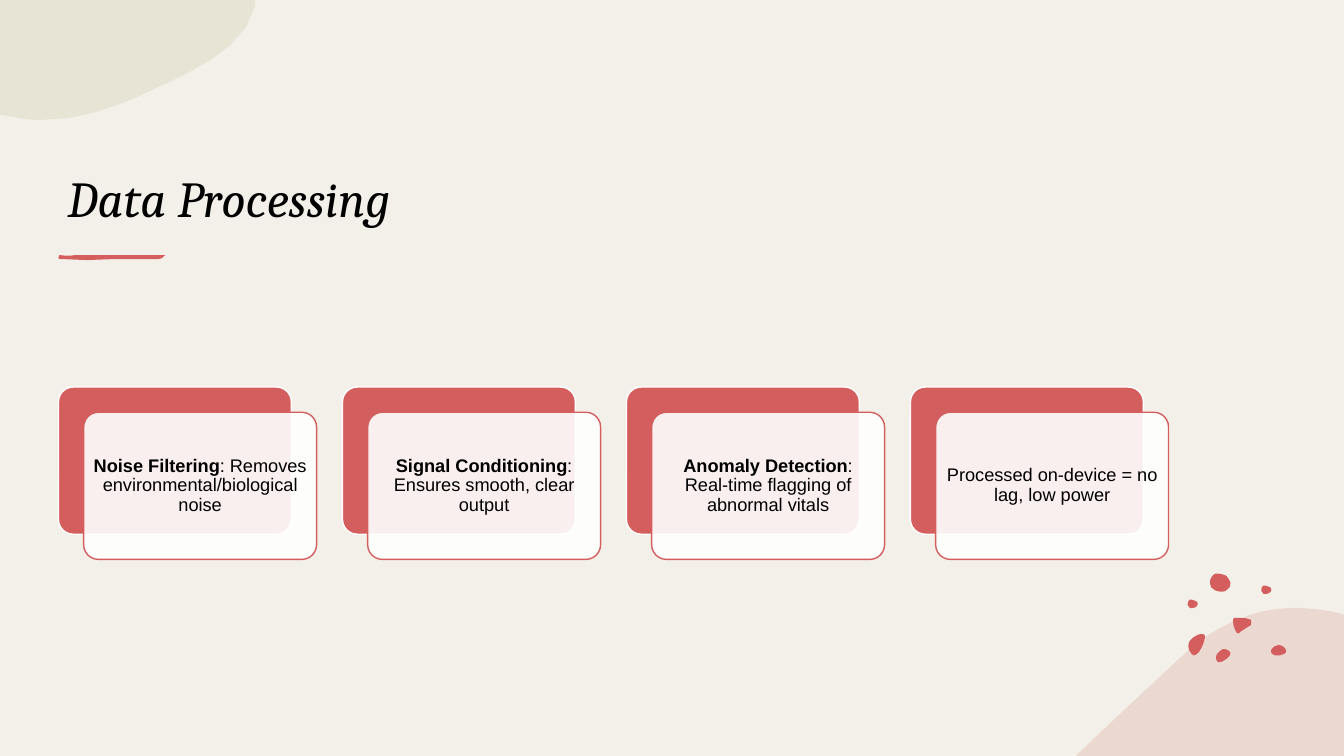
from dataclasses import dataclass
from typing import NamedTuple

import pptx
import pptx.dml.color
import pptx.enum.shapes
import pptx.enum.text
import pptx.oxml
import pptx.oxml.ns
import pptx.util
from pptx.util import Inches

Colour = pptx.dml.color.RGBColor.from_string


@dataclass(frozen=True)
class Theme:
    background: str = "F3F0E9"
    accent: str = "D45E5E"
    blush: str = "E5C4BA"
    sage: str = "DCD9C3"
    white: str = "FFFFFF"
    text: str = "000000"
    title_font: str = "Cambria"
    body_font: str = "Arial"
    title_size: int = 36
    body_size: int = 13


class Outline(NamedTuple):
    """Steps hold two numbers for a line, six for a cubic curve cut into pieces."""
    start: tuple[float, float]
    steps: list[tuple[float, ...]]
    colour: str
    opacity: int = 100
    pieces: int = 3
    shift: tuple[float, float] = (0, 0)


class Card(NamedTuple):
    heading: str
    detail: str


THEME = Theme()

# Background blobs
BLOBS = [
    Outline((12.88, 6.03), [
        (13.01, 6.04, 13.14, 6.05, 13.27, 6.08), (13.33, 6.1), (13.33, 7.5), (10.67, 7.5),
        (11.02, 7.16, 11.37, 6.84, 11.69, 6.54), (11.91, 6.32, 12.14, 6.19, 12.37, 6.11),
        (12.54, 6.05, 12.71, 6.03, 12.88, 6.03)], THEME.blush, 50, 5),
    Outline((0, 0), [
        (2.53, 0), (2.53, 0.06), (2.45, 0.44, 2, 0.67, 1.58, 0.86),
        (1.23, 1.03, 0.86, 1.19, 0.41, 1.19), (0.31, 1.19, 0.22, 1.18, 0.13, 1.16),
        (0, 1.14)], THEME.sage, 50, 5),
]

# Scattered pebbles, two of them alike
SMALL_PEBBLE = Outline((12.51, 5.86), [
    (12.51, 5.86, 12.51, 5.82, 12.53, 5.81), (12.55, 5.81, 12.56, 5.81, 12.58, 5.82),
    (12.59, 5.82, 12.61, 5.83, 12.61, 5.85), (12.61, 5.86, 12.6, 5.88, 12.59, 5.88),
    (12.59, 5.88, 12.59, 5.89, 12.57, 5.89), (12.56, 5.89, 12.54, 5.9, 12.53, 5.89),
    (12.52, 5.87, 12.51, 5.87, 12.51, 5.86)], THEME.accent)
PEBBLES = [
    Outline((12.13, 6.44), [
        (12.15, 6.44, 12.16, 6.44, 12.18, 6.45), (12.2, 6.46, 12.21, 6.48, 12.2, 6.5),
        (12.18, 6.53, 12.12, 6.58, 12.08, 6.57), (12.07, 6.56, 12.06, 6.54, 12.06, 6.52),
        (12.06, 6.5, 12.08, 6.47, 12.1, 6.46), (12.11, 6.45, 12.12, 6.44, 12.13, 6.44)],
        THEME.accent),
    Outline((11.91, 6.29), [
        (11.93, 6.29, 11.95, 6.29, 11.95, 6.31), (11.95, 6.33),
        (11.94, 6.38, 11.92, 6.43, 11.89, 6.47), (11.87, 6.49, 11.84, 6.52, 11.82, 6.49),
        (11.79, 6.46, 11.78, 6.41, 11.79, 6.38), (11.8, 6.35, 11.82, 6.34, 11.84, 6.32),
        (11.85, 6.32, 11.88, 6.29, 11.91, 6.29)], THEME.accent),
    Outline((12.69, 6.4), [
        (12.71, 6.4, 12.74, 6.42, 12.75, 6.44), (12.76, 6.46, 12.76, 6.48, 12.73, 6.49),
        (12.7, 6.51, 12.62, 6.51, 12.61, 6.48), (12.6, 6.46, 12.61, 6.44, 12.62, 6.43),
        (12.64, 6.41, 12.66, 6.4, 12.69, 6.4)], THEME.accent),
    Outline((12.01, 5.81), [
        (12, 5.81, 11.99, 5.75, 12.02, 5.72), (12.04, 5.7, 12.04, 5.69, 12.07, 5.69),
        (12.1, 5.69, 12.14, 5.7, 12.16, 5.71), (12.18, 5.73, 12.22, 5.78, 12.2, 5.82),
        (12.17, 5.85, 12.16, 5.87, 12.12, 5.87), (12.09, 5.87, 12.04, 5.86, 12.03, 5.84),
        (12.01, 5.83, 12.01, 5.82, 12.01, 5.81)], THEME.accent),
    SMALL_PEBBLE,
    SMALL_PEBBLE._replace(shift=(-0.73, 0.14)),
    Outline((12.28, 6.13), [
        (12.34, 6.13, 12.45, 6.13, 12.41, 6.19), (12.41, 6.2, 12.4, 6.21, 12.39, 6.21),
        (12.3, 6.27), (12.29, 6.28, 12.28, 6.29, 12.27, 6.28),
        (12.26, 6.27), (12.24, 6.23, 12.23, 6.2, 12.23, 6.16),
        (12.23, 6.15, 12.23, 6.14, 12.24, 6.13)], THEME.accent),
]

# Brush stroke under the title
STROKE = Outline((0.59, 2.53), [
    (0.64, 2.54, 0.7, 2.54, 0.75, 2.53), (1.64, 2.53),
    (1.61, 2.54, 1.63, 2.57, 1.57, 2.57), (1.15, 2.57), (0.86, 2.58), (0.6, 2.57),
    (0.57, 2.58, 0.58, 2.54, 0.59, 2.53)], THEME.accent)

CARDS = [
    Card("Noise Filtering", ": Removes environmental/biological noise"),
    Card("Signal Conditioning", ": Ensures smooth, clear output"),
    Card("Anomaly Detection", ": Real-time flagging of abnormal vitals"),
    Card("", "Processed on-device = no lag, low power"),
]
CARD_LEFT, LAST_CARD_LEFT, CARD_TOP = 0.58, 9.03, 3.84
CARD_PITCH = (LAST_CARD_LEFT - CARD_LEFT) / (len(CARDS) - 1)
CARD_WIDTH, CARD_HEIGHT, CARD_OFFSET = 2.31, 1.46, 0.25
TEXT_INSET, TEXT_MARGIN = 0.04, 0.05


def fill_shape(shape, colour: str, opacity: int = 100) -> None:
    shape.shadow.inherit = False
    shape.fill.solid()
    shape.fill.fore_color.rgb = Colour(colour)
    if opacity < 100:
        tint = shape.fill._xPr.find(".//" + pptx.oxml.ns.qn("a:srgbClr"))
        alpha = pptx.oxml.parse_xml(f"<a:alpha {pptx.oxml.ns.nsdecls('a')} val='{opacity * 1000}'/>")
        tint.append(alpha)


def trace(outline: Outline) -> list[tuple[int, int]]:
    """Turn the outline's lines and curves into a chain of points."""
    points = [outline.start]
    for step in outline.steps:
        if len(step) == 2:
            points.append(step)
            continue
        (x0, y0), (x1, y1, x2, y2, x3, y3) = points[-1], step
        for piece in range(1, outline.pieces + 1):
            t = piece / outline.pieces
            a, b, c, d = (1 - t) ** 3, 3 * t * (1 - t) ** 2, 3 * t * t * (1 - t), t ** 3
            points.append((a * x0 + b * x1 + c * x2 + d * x3, a * y0 + b * y1 + c * y2 + d * y3))
    across, down = outline.shift
    return [(Inches(x + across), Inches(y + down)) for x, y in points]


def draw_outline(page, outline: Outline) -> None:
    first, *others = trace(outline)
    builder = page.shapes.build_freeform(*first)
    builder.add_line_segments(others, close=True)
    shape = builder.convert_to_shape()
    fill_shape(shape, outline.colour, outline.opacity)
    shape.line.fill.background()


def draw_panel(page, left: float, top: float, fill: str, line: str, opacity: int = 100) -> None:
    panel = page.shapes.add_shape(
        pptx.enum.shapes.MSO_SHAPE.ROUNDED_RECTANGLE,
        Inches(left), Inches(top), Inches(CARD_WIDTH), Inches(CARD_HEIGHT))
    panel.adjustments[0] = 0.1
    fill_shape(panel, fill, opacity)
    panel.line.color.rgb = Colour(line)
    panel.line.width = pptx.util.Pt(1)


def style_font(font, name: str, size: int) -> None:
    font.name, font.size = name, pptx.util.Pt(size)
    font.color.rgb = Colour(THEME.text)


def draw_card(page, card: Card, left: float) -> None:
    front_left, front_top = left + CARD_OFFSET, CARD_TOP + CARD_OFFSET
    draw_panel(page, left, CARD_TOP, THEME.accent, THEME.white)
    draw_panel(page, front_left, front_top, THEME.white, THEME.accent, 90)
    box = page.shapes.add_textbox(
        Inches(front_left + TEXT_INSET), Inches(front_top + TEXT_INSET),
        Inches(CARD_WIDTH - 2 * TEXT_INSET), Inches(CARD_HEIGHT - 2 * TEXT_INSET))
    frame = box.text_frame
    frame.word_wrap = True
    frame.vertical_anchor = pptx.enum.text.MSO_ANCHOR.MIDDLE
    for side in ("left", "right", "top", "bottom"):
        setattr(frame, f"margin_{side}", Inches(TEXT_MARGIN))
    para = frame.paragraphs[0]
    para.alignment = pptx.enum.text.PP_ALIGN.CENTER
    para.line_spacing = 0.9
    for words, bold in ((card.heading, True), (card.detail, False)):
        if words:
            span = para.add_run()
            span.text = words
            style_font(span.font, THEME.body_font, THEME.body_size)
            span.font.bold = bold


def draw_title(page, words: str) -> None:
    title = page.shapes.title
    title.left, title.top, title.width, title.height = map(Inches, (0.57, 0.86, 11.02, 1.45))
    title.text_frame.text = words
    title.text_frame.vertical_anchor = pptx.enum.text.MSO_ANCHOR.BOTTOM
    para = title.text_frame.paragraphs[0]
    para.alignment = pptx.enum.text.PP_ALIGN.LEFT
    style_font(para.runs[0].font, THEME.title_font, THEME.title_size)
    para.runs[0].font.italic = True


def main() -> None:
    deck = pptx.Presentation()
    deck.slide_width, deck.slide_height = Inches(13.33), Inches(7.5)
    page = deck.slides.add_slide(deck.slide_layouts[5])
    page.background.fill.solid()
    page.background.fill.fore_color.rgb = Colour(THEME.background)
    for outline in [*BLOBS, *PEBBLES, STROKE]:
        draw_outline(page, outline)
    draw_title(page, "Data Processing")
    for index, card in enumerate(CARDS):
        draw_card(page, card, CARD_LEFT + index * CARD_PITCH)
    deck.save("out.pptx")


if __name__ == "__main__":
    main()
